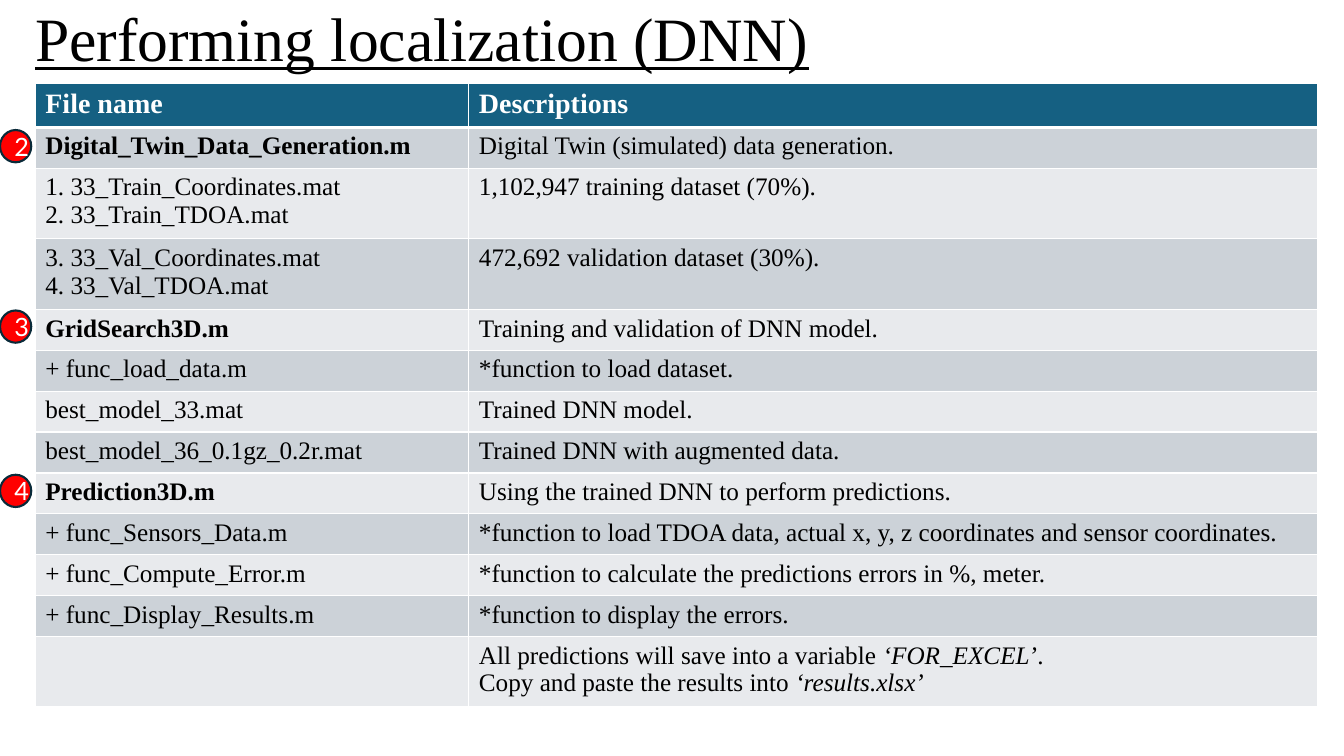
import pptx
import pptx.dml.color
import pptx.enum.shapes
import pptx.enum.text
import pptx.oxml
import pptx.oxml.ns
import pptx.util
from dataclasses import dataclass

Inches, Pt = pptx.util.Inches, pptx.util.Pt


@dataclass(frozen=True)
class Theme:
    serif: str = "Times New Roman"
    sans: str = "Lato"
    title: int = 44
    header: int = 20
    body: int = 18
    ink: str = "000000"
    white: str = "FFFFFF"
    header_fill: str = "156082"
    bands: tuple = ("E8EAED", "CCD2D8")
    badge: str = "FF0000"
    badge_line: str = "092A39"


THEME = Theme()
ROW_HEIGHTS = {1: Pt(29.2), 2: Pt(47.2)}  # by number of text lines
COLUMNS = (4.3, 8.42)

# Lines are split by a newline; "|" switches italics on and off.
ROWS = [
    ("File name", "Descriptions"),
    ("Digital_Twin_Data_Generation.m", "Digital Twin (simulated) data generation."),
    ("1. 33_Train_Coordinates.mat\n2. 33_Train_TDOA.mat", "1,102,947 training dataset (70%)."),
    ("3. 33_Val_Coordinates.mat\n4. 33_Val_TDOA.mat", "472,692 validation dataset (30%)."),
    ("GridSearch3D.m", "Training and validation of DNN model."),
    ("+ func_load_data.m", "*function to load dataset."),
    ("best_model_33.mat", "Trained DNN model."),
    ("best_model_36_0.1gz_0.2r.mat", "Trained DNN with augmented data."),
    ("Prediction3D.m", "Using the trained DNN to perform predictions."),
    ("+ func_Sensors_Data.m",
     "*function to load TDOA data, actual x, y, z coordinates and sensor coordinates."),
    ("+ func_Compute_Error.m", "*function to calculate the predictions errors in %, meter."),
    ("+ func_Display_Results.m", "*function to display the errors."),
    ("", "All predictions will save into a variable |‘FOR_EXCEL’|.\n"
         "Copy and paste the results into |‘results.xlsx’"),
]
SCRIPT_ROWS = (1, 4, 8)
BADGES = (("2", 1.29), ("3", 3.08), ("4", 4.71))  # step number, top


def rgb(color):
    return pptx.dml.color.RGBColor.from_string(color)


def style(p, font, size, color, bold=False):
    p.font.name, p.font.size, p.font.bold = font, Pt(size), bold
    p.font.color.rgb = rgb(color)


def add_title(s, text, left, top, width, height):
    tf = s.shapes.add_textbox(*map(Inches, (left, top, width, height))).text_frame
    tf.word_wrap = True
    tf.vertical_anchor = pptx.enum.text.MSO_ANCHOR.MIDDLE
    p = tf.paragraphs[0]
    p.text, p.line_spacing = text, 0.9
    style(p, THEME.serif, THEME.title, THEME.ink)
    p.font.underline = True


def set_borders(cell, **widths):
    """Draw white borders; widths are points by side: L, R, T, B."""
    tc_pr = cell._tc.get_or_add_tcPr()
    for side, width in widths.items():
        tc_pr.append(pptx.oxml.parse_xml(
            f'<a:ln{side} {pptx.oxml.ns.nsdecls("a")} w="{Pt(width)}"><a:solidFill>'
            f'<a:srgbClr val="{THEME.white}"/></a:solidFill></a:ln{side}>'))


def fill_cell(cell, text, row, bold):
    header = row == 0
    set_borders(cell, L=1, R=1, T=3 if row == 1 else 1, B=3 if header else 1)
    cell.fill.solid()
    cell.fill.fore_color.rgb = rgb(THEME.header_fill if header else THEME.bands[row % 2])
    tf = cell.text_frame
    for i, line in enumerate(text.split("\n")):
        p = tf.add_paragraph() if i else tf.paragraphs[0]
        style(p, THEME.serif, THEME.header if header else THEME.body,
              THEME.white if header else THEME.ink, bold)
        for j, part in enumerate(line.split("|")):
            if part:
                r = p.add_run()
                r.text = part
                if j % 2:
                    r.font.italic = True


def add_file_table(s, left, top):
    heights = [ROW_HEIGHTS[max(text.count("\n") for text in row) + 1] for row in ROWS]
    table = s.shapes.add_table(len(ROWS), len(COLUMNS), Inches(left), Inches(top),
                               Inches(sum(COLUMNS)), sum(heights)).table
    for column, width in zip(table.columns, COLUMNS):
        column.width = Inches(width)
    for i, (texts, height) in enumerate(zip(ROWS, heights)):
        table.rows[i].height = height
        for j, text in enumerate(texts):
            fill_cell(table.cell(i, j), text, i, i == 0 or (j == 0 and i in SCRIPT_ROWS))


def add_badge(s, number, left, top, width=0.31, height=0.32):
    sp = s.shapes.add_shape(pptx.enum.shapes.MSO_SHAPE.OVAL,
                            *map(Inches, (left, top, width, height)))
    sp.shadow.inherit = False
    sp.fill.solid()
    sp.fill.fore_color.rgb = rgb(THEME.badge)
    sp.line.color.rgb, sp.line.width = rgb(THEME.badge_line), Pt(1.5)
    sp.text_frame.vertical_anchor = pptx.enum.text.MSO_ANCHOR.MIDDLE
    p = sp.text_frame.paragraphs[0]
    p.text, p.alignment = number, pptx.enum.text.PP_ALIGN.CENTER
    style(p, THEME.sans, THEME.body, THEME.white)


def main():
    prs = pptx.Presentation()
    prs.slide_width, prs.slide_height = Inches(13.33), Inches(7.5)
    s = prs.slides.add_slide(prs.slide_layouts[6])
    add_title(s, "Performing localization (DNN)", 0.25, 0, 11.5, 0.83)
    add_file_table(s, 0.35, 0.83)
    for number, top in BADGES:
        add_badge(s, number, 0, top)
    prs.save("out.pptx")


if __name__ == "__main__":
    main()
